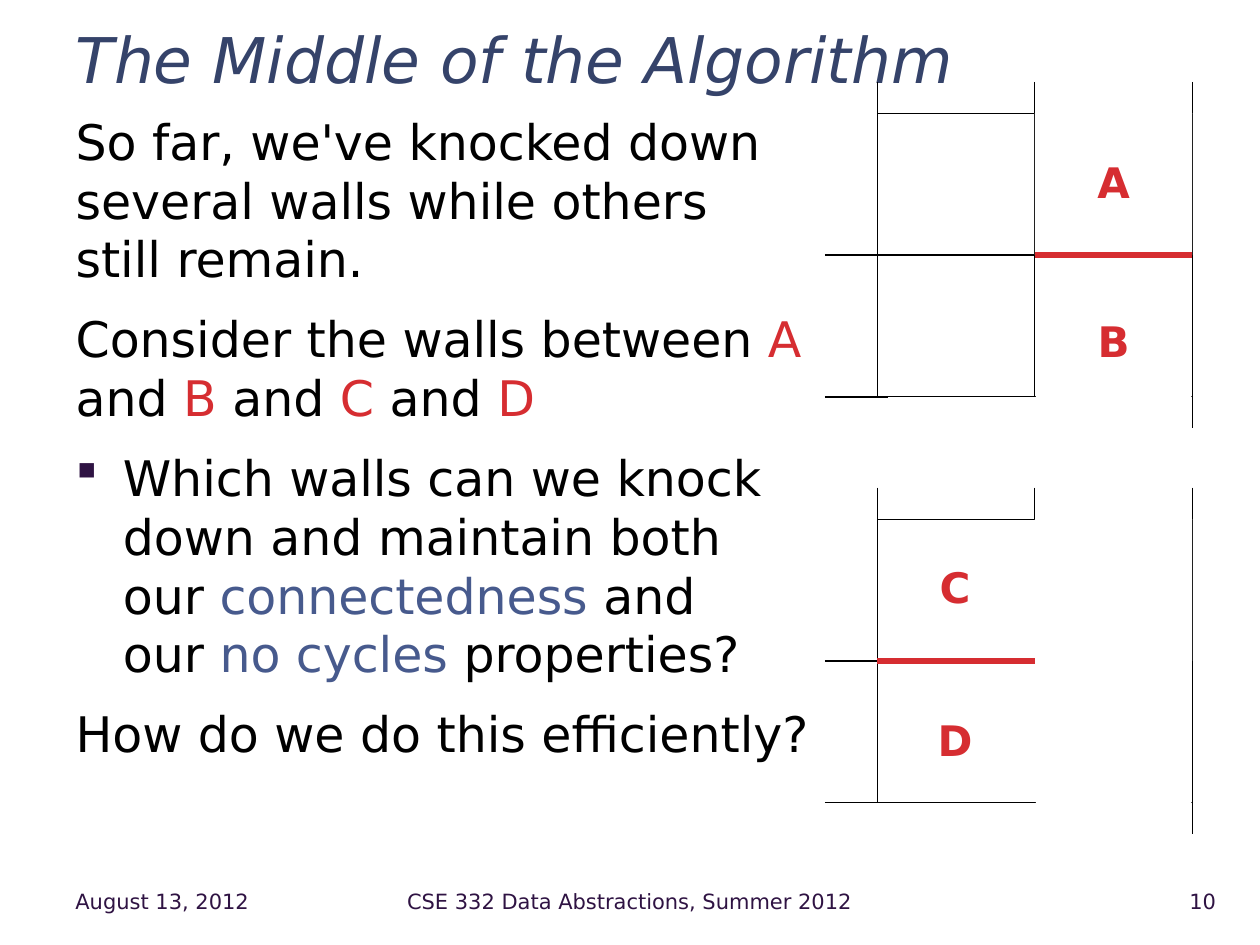
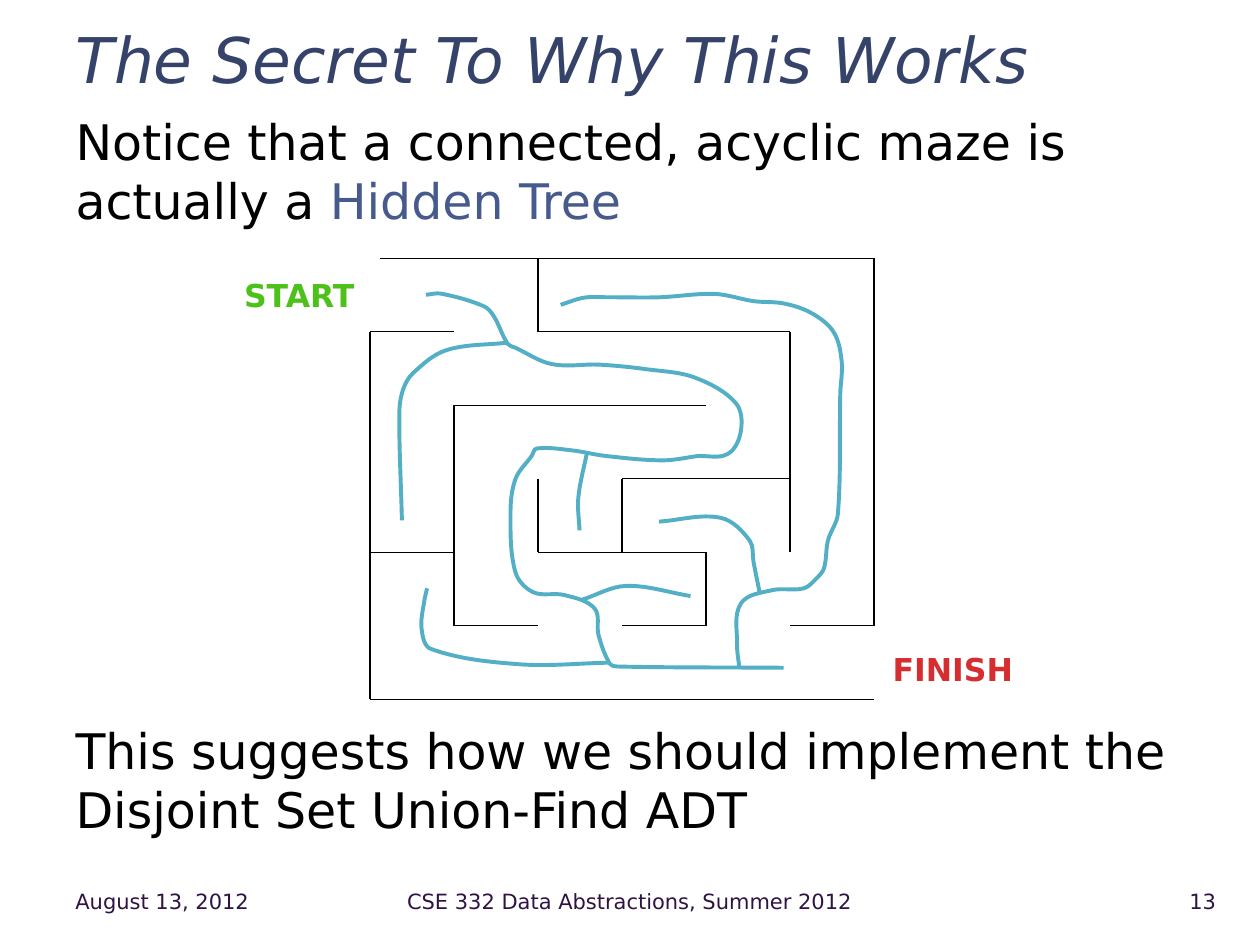
from dataclasses import dataclass

from lxml import etree
from pptx import Presentation
from pptx.dml.color import RGBColor
from pptx.enum.shapes import MSO_CONNECTOR, MSO_SHAPE
from pptx.enum.text import MSO_ANCHOR, MSO_AUTO_SIZE, PP_ALIGN
from pptx.oxml.ns import qn
from pptx.util import Pt


@dataclass(frozen=True)
class Theme:
    font: str = "DejaVu Sans"
    bullet_font: str = "Wingdings"
    title: str = "35436A"
    text: str = "000000"
    term: str = "475A8D"
    red: str = "D62D31"
    green: str = "4DC11A"
    trail: str = "53AFC5"
    footer: str = "2F1343"
    white: str = "FFFFFF"
    title_size: int = 36
    body_size: int = 28
    cell_size: int = 24
    label_size: int = 18
    footer_size: int = 12
    wall_width: float = 0.75
    trail_width: float = 2.25
    marked_width: float = 3


T = Theme()

MIDDLE = {
    "title": "The Middle of the Algorithm",
    "number": "10",
    "body": [
        {"runs": [("So far, we've knocked down \nseveral walls while others \nstill remain.", T.text)]},
        {"before": 12, "runs": [
            ("Consider the walls between ", T.text), ("A \n", T.red), ("and ", T.text), ("B", T.red),
            (" and ", T.text), ("C", T.red), (" and ", T.text), ("D", T.red)]},
        {"before": 12, "bullet": True, "runs": [
            ("Which walls can we knock \ndown and maintain both \nour ", T.text),
            ("connectedness", T.term), (" and \nour ", T.text),
            ("no cycles ", T.term), ("properties?", T.text)]},
        {"before": 12, "runs": [("How do we do this efficiently?", T.text)]},
    ],
}

SECRET = {
    "title": "The Secret To Why This Works",
    "number": "13",
    "body": [
        {"runs": [("Notice that a connected, acyclic maze is actually a ", T.text),
                  ("Hidden Tree", T.term)]},
        {"before": 281, "runs": [
            ("This suggests how we should implement the Disjoint Set Union-Find ADT", T.text)]},
    ],
}

FOOTERS = [
    ("August 13, 2012", 36, 126, PP_ALIGN.LEFT),
    ("CSE 332 Data Abstractions, Summer 2012", 167.3, 385, PP_ALIGN.CENTER),
    (None, 640, 62, PP_ALIGN.RIGHT),
]

CELL_W, CELL_H = 90, 81
PANEL_LEFT = 501.3
PANELS = [
    {"top": 64.8, "inner_walls": True, "marked_col": 1, "cell_labels": ("A", "B")},
    {"top": 296.7, "inner_walls": False, "marked_col": 0, "cell_labels": (None, None)},
]
FREE_LABELS = [("D", 528.5, 404.6, 34.5, 36), ("C", 529.5, 317.5, 32.5, 36)]

MAZE_LEFT, MAZE_TOP = 211.4, 147.6
MAZE_COL, MAZE_ROW = 48, 42
ROW_WALLS = {
    0: (0.12, 1, 2, 3, 4, 5), 1: (0, 2, 3, 4), 2: (1, 2, 3), 3: (3, 4),
    4: (0, 2, 3), 5: (1, 3, 5), 6: (5,),
}
COL_WALLS = {1: (2, 3, 4), 2: (0, 3), 3: (3,), 4: (4,), 5: (1, 2, 3), 6: (0, 1, 2, 3, 4)}
LONG_WALLS = [(5, 6, 0, 6), (0, 6, 0, 1)]
MAZE_LABELS = [("START", 130.5, 154.2, 81, T.green), ("FINISH", 499.5, 367.5, 90, T.red)]
TRAILS = [
    [(447.8, 381.6), (352.8, 380.9), (348.5, 379.4), (342, 362.9), (339.8, 347.8),
     (322.7, 340.1), (304.6, 338.4), (294.5, 326.9), (291.7, 293.2), (294.6, 273.6),
     (303.8, 260.6), (306.7, 256.3), (326.8, 257.4), (346.3, 260.6), (378.8, 263.1),
     (398.9, 260.6)],
    [(398.2, 260.6), (415.9, 259.4), (423.4, 246.2), (420.5, 230.4), (397.1, 215.8),
     (369.4, 211), (342.6, 208.4), (315.4, 208.1), (294.5, 198.7), (290.2, 196.6),
     (282.2, 180.7), (276.5, 175), (252, 167.8), (243.4, 168.5)],
    [(347.8, 378.7), (296.5, 379.6), (246.2, 370.8), (240.9, 359.2), (242.6, 342.7),
     (244.1, 336.2)],
    [(422.6, 382.3), (421.2, 367.9), (423.4, 344.9), (441.1, 337.3), (459.4, 336.2),
     (466.6, 330.5), (470.9, 324.7), (473.2, 308.7), (478.8, 293.8), (480.2, 224.6),
     (481, 206.8), (476.6, 190.1), (464.4, 179.3), (448.3, 173.5), (430.6, 172.1),
     (408.7, 168), (376.6, 169.9), (348.2, 169.9), (333.9, 170.1), (320.4, 174.2)],
    [(290.2, 195.8), (254.9, 200.2), (236.2, 213.1), (230.4, 222.5), (228.2, 236.2),
     (229.7, 297.4)],
    [(335.5, 258.5), (330.5, 284.4), (331.2, 303.1)],
    [(434.2, 339.1), (430.6, 321.1), (428.4, 308.9), (411.8, 295.9), (376.6, 298.1)],
    [(394.6, 340.6), (357.8, 334.8), (332.6, 342.7)],
]


def rgb(color):
    return RGBColor.from_string(color)


def style(font, size, color, bold=False, italic=False):
    font.name, font.size = T.font, Pt(size)
    font.bold, font.italic = bold, italic
    font.color.rgb = rgb(color)


def place(shape, x, y, w, h):
    shape.left, shape.top, shape.width, shape.height = Pt(x), Pt(y), Pt(w), Pt(h)


def write(shape, text, size, color, align, bold=False):
    tf = shape.text_frame
    tf.text = text
    tf.vertical_anchor = MSO_ANCHOR.MIDDLE
    p = tf.paragraphs[0]
    p.alignment = align
    style(p.runs[0].font, size, color, bold)
    return tf


def add_label(s, text, x, y, w, h, size, color, align=PP_ALIGN.CENTER, bold=True, wrap=False):
    box = s.shapes.add_textbox(Pt(x), Pt(y), Pt(w), Pt(h))
    write(box, text, size, color, align, bold).word_wrap = wrap


def add_wall(s, x1, y1, x2, y2, color=T.text, width=T.wall_width):
    line = s.shapes.add_connector(MSO_CONNECTOR.STRAIGHT, Pt(x1), Pt(y1), Pt(x2), Pt(y2))
    line.line.color.rgb = rgb(color)
    line.line.width = Pt(width)
    etree.SubElement(line._element.spPr, qn("a:effectLst"))


def add_rect(s, x, y, w, h):
    sp = s.shapes.add_shape(MSO_SHAPE.RECTANGLE, Pt(x), Pt(y), Pt(w), Pt(h))
    sp.shadow.inherit = False
    return sp


def set_bullet(p, bulleted):
    pPr = p._p.get_or_add_pPr()
    indent = Pt(27) if bulleted else 0
    pPr.set("marL", str(indent))
    pPr.set("indent", str(-indent))
    if not bulleted:
        etree.SubElement(pPr, qn("a:buNone"))
        return
    color = etree.SubElement(pPr, qn("a:buClr"))
    etree.SubElement(color, qn("a:srgbClr"), val=T.footer)
    etree.SubElement(pPr, qn("a:buFont"), typeface=T.bullet_font)
    etree.SubElement(pPr, qn("a:buChar"), char="§")


def fill_body(tf, paragraphs):
    for i, item in enumerate(paragraphs):
        p = tf.paragraphs[0] if i == 0 else tf.add_paragraph()
        set_bullet(p, item.get("bullet", False))
        p.space_before = Pt(item.get("before", 0))
        for text, color in item["runs"]:
            for j, piece in enumerate(text.split("\n")):
                if j:
                    p.add_line_break()
                if piece:
                    r = p.add_run()
                    r.text = piece
                    style(r.font, T.body_size, color)


def add_page(prs, page):
    s = prs.slides.add_slide(prs.slide_layouts[1])
    title, body = s.shapes.title, s.placeholders[1]
    place(title, 36, 12, 666, 38)
    tf = write(title, page["title"], T.title_size, T.title, PP_ALIGN.LEFT)
    tf.auto_size = MSO_AUTO_SIZE.NONE
    tf.paragraphs[0].line_spacing = 1.1
    tf.paragraphs[0].runs[0].font.italic = True
    place(body, 36, 60, 666, 432)
    body.text_frame.auto_size = MSO_AUTO_SIZE.NONE
    fill_body(body.text_frame, page["body"])
    for text, x, w, align in FOOTERS:
        add_label(s, text or page["number"], x, 500.4, w, 29, T.footer_size, T.footer,
                  align, bold=False, wrap=True)
    return s


def add_panel(s, top, inner_walls, marked_col, cell_labels):
    left, mid_x, right = (PANEL_LEFT + CELL_W * i for i in range(3))
    mid_y, bottom = top + CELL_H, top + 2 * CELL_H
    frame = add_rect(s, left, top, 2 * CELL_W, 2 * CELL_H)
    frame.fill.background()
    frame.line.color.rgb = rgb(T.text)
    frame.line.width = Pt(T.wall_width)
    if inner_walls:
        add_wall(s, mid_x, top, mid_x, bottom)
        add_wall(s, left, mid_y, right, mid_y)
    openings = [(mid_x, top - 3, CELL_W), (mid_x + 0.6, mid_y + 6.6, CELL_W - 1)]
    for text, (x, y, w) in zip(cell_labels, openings):
        cell = add_rect(s, x, y, w, CELL_H + 3)
        cell.fill.solid()
        cell.fill.fore_color.rgb = rgb(T.white)
        cell.line.fill.background()
        if text:
            write(cell, text, T.cell_size, T.red, PP_ALIGN.CENTER, True).word_wrap = False
    for x, end in ((left, top + 12), (mid_x, top), (right, top)):
        add_wall(s, x, top - 18, x, end)
    for y in (bottom - 6, bottom):
        add_wall(s, right, y, right, y + 18)
    for y in (mid_y, bottom):
        add_wall(s, left - 30, y, left + 6, y)
    marked_x = left + marked_col * CELL_W
    add_wall(s, marked_x, mid_y, marked_x + CELL_W, mid_y, T.red, T.marked_width)


def add_trail(s, points):
    corners = [(Pt(x), Pt(y)) for x, y in points]
    builder = s.shapes.build_freeform(*corners[0])
    builder.add_line_segments(corners[1:], close=False)
    sp = builder.convert_to_shape()
    sp.shadow.inherit = False
    sp.fill.background()
    sp.line.color.rgb = rgb(T.trail)
    sp.line.width = Pt(T.trail_width)
    round_corners(sp, corners)


def round_corners(sp, corners):
    pts = [complex(x - sp.left, y - sp.top) for x, y in corners]
    ends = [pts[0]] + pts + [pts[-1]]
    dirs = [(b - a) / abs(b - a) for a, b in zip(ends, ends[2:])]
    segments = list(sp._element.iter(qn("a:lnTo")))
    for seg, a, b, da, db in zip(segments, pts, pts[1:], dirs, dirs[1:]):
        reach = abs(b - a) / 3
        seg.clear()
        seg.tag = qn("a:cubicBezTo")
        for z in (a + da * reach, b - db * reach, b):
            etree.SubElement(seg, qn("a:pt"), x=str(round(z.real)), y=str(round(z.imag)))


def add_maze(s):
    def at(col, row):
        return MAZE_LEFT + col * MAZE_COL, MAZE_TOP + row * MAZE_ROW

    for row, starts in ROW_WALLS.items():
        for col in starts:
            add_wall(s, *at(col, row), *at(col + 1, row))
    for col, starts in COL_WALLS.items():
        for row in starts:
            add_wall(s, *at(col, row), *at(col, row + 1))
    for col1, row1, col2, row2 in LONG_WALLS:
        add_wall(s, *at(col1, row1), *at(col2, row2))
    for points in TRAILS:
        add_trail(s, points)
    for text, x, y, w, color in MAZE_LABELS:
        add_label(s, text, x, y, w, 29, T.label_size, color)


def main():
    prs = Presentation()
    prs.slide_width, prs.slide_height = Pt(720), Pt(540)
    s = add_page(prs, MIDDLE)
    for panel in PANELS:
        add_panel(s, **panel)
    for label in FREE_LABELS:
        add_label(s, *label, T.cell_size, T.red)
    add_maze(add_page(prs, SECRET))
    prs.save("out.pptx")


if __name__ == "__main__":
    main()
